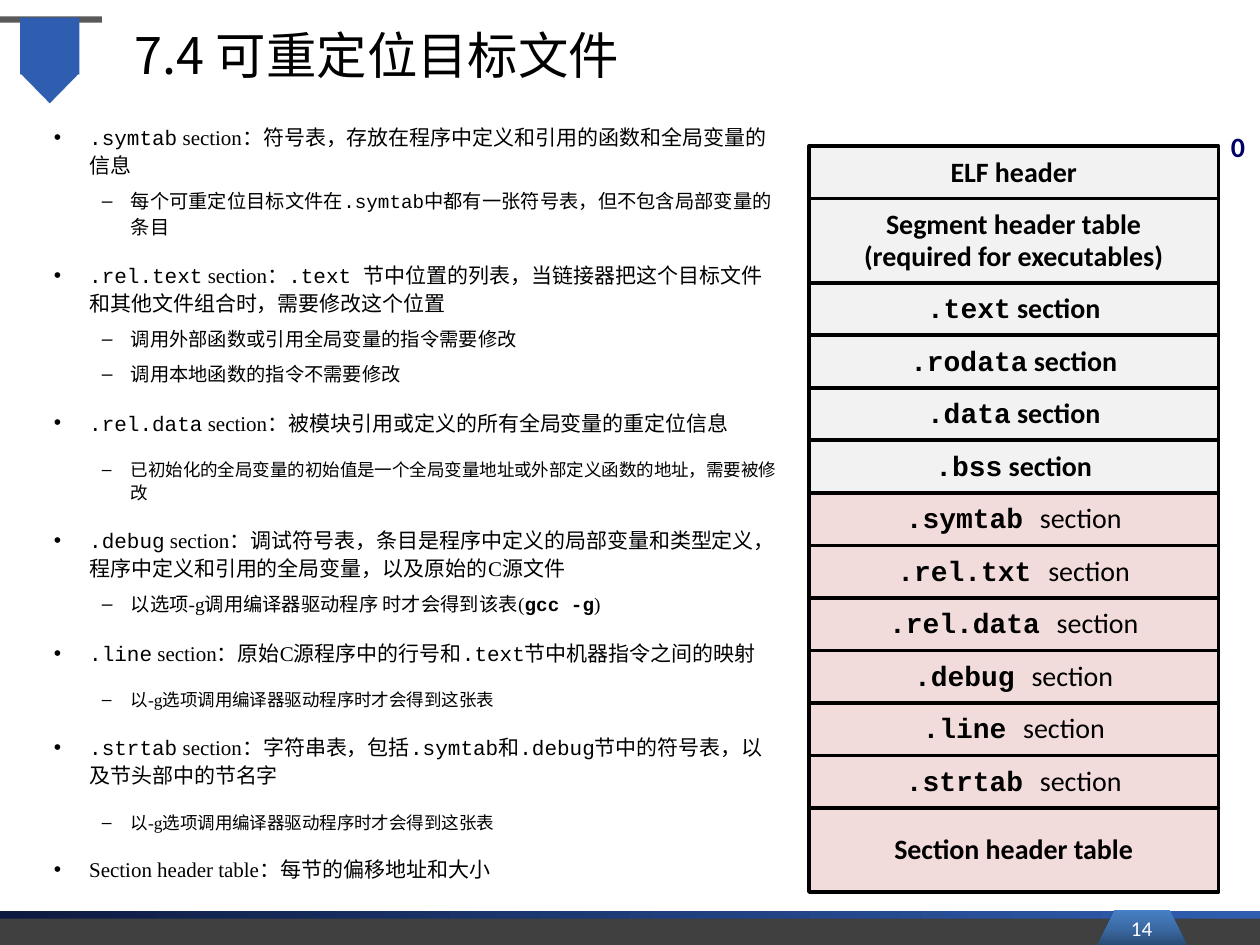
from lxml import etree
from pptx import Presentation
from pptx import util as u
from pptx.dml.color import RGBColor
from pptx.enum import shapes, text
from pptx.oxml import ns

TITLE = "7.4 可重定位目标文件"
PAGE_NUMBER = "14"
START_OFFSET = "0"

# (style, wording); backticks enclose code
NOTES = [
    ("topic", "`.symtab` section：符号表，存放在程序中定义和引用的函数和全局变量的信息"),
    ("detail", "每个可重定位目标文件在`.symtab`中都有一张符号表，但不包含局部变量的条目"),
    ("topic", "`.rel.text` section：`.text `节中位置的列表，当链接器把这个目标文件和其他文件组合时，需要修改这个位置"),
    ("detail", "调用外部函数或引用全局变量的指令需要修改"),
    ("detail", "调用本地函数的指令不需要修改"),
    ("topic", "`.rel.data` section：被模块引用或定义的所有全局变量的重定位信息"),
    ("remark", "已初始化的全局变量的初始值是一个全局变量地址或外部定义函数的地址，需要被修改"),
    ("topic", "`.debug` section：调试符号表，条目是程序中定义的局部变量和类型定义，程序中定义和引用的全局变量，以及原始的C源文件"),
    ("detail", "以选项-g调用编译器驱动程序 时才会得到该表(`gcc -g`)"),
    ("topic", "`.line` section：原始C源程序中的行号和`.text`节中机器指令之间的映射"),
    ("remark", "以-g选项调用编译器驱动程序时才会得到这张表"),
    ("topic", "`.strtab` section：字符串表，包括`.symtab`和`.debug`节中的符号表，以及节头部中的节名字"),
    ("remark", "以-g选项调用编译器驱动程序时才会得到这张表"),
    ("topic", "Section header table：每节的偏移地址和大小"),
]
BOLD_CODE = {"gcc -g"}

# (lines, fill, rows taken, words in bold)
SECTIONS = [
    (["ELF header"], "plain", 1, True),
    (["Segment header table", "(required for executables)"], "plain", 1.6, True),
    *[([f"`{name}` section"], "plain", 1, True)
      for name in (".text", ".rodata", ".data", ".bss")],
    *[([f"`{name} `section"], "linking", 1, False)
      for name in (".symtab", ".rel.txt", ".rel.data", ".debug", ".line", ".strtab")],
    (["Section header table"], "linking", 1.6, True),
]

THEME = {
    "ink": "000000", "white": "FFFFFF", "offset": "000066",
    "plain": "F2F2F2", "linking": "F2DCDB",
    "flag": "2F5EB0", "rule": "595959", "footer": "404040",
    "stripe": ["0E1A40", "2F5EB0"], "tab": ["2A4C75", "3C6CA6", "4780C5"],
    "sans": "Calibri", "serif": "Times New Roman",
    "code": "Courier New", "cjk": "Noto Sans CJK SC",
    "title_size": 28.8, "section_size": 16, "number_size": 12,
    "topic": {"size": 12, "before": 12.5, "level": 0},
    "detail": {"size": 11, "before": 5.6, "level": 1},
    "remark": {"size": 10, "before": 12.5, "level": 1},
}
# bullet, text indent and hanging indent in inches
LEVELS = [("•", 0.28, -0.28), ("–", 0.61, -0.23)]

WIDTH, HEIGHT = 10, 7.5
STACK_LEFT, STACK_TOP, STACK_WIDTH, STACK_BOTTOM = 6.42, 1.16, 3.25, 7.08
FOOTER_TOP = 7.23
RECT = shapes.MSO_SHAPE.RECTANGLE

deck = Presentation()
deck.slide_width, deck.slide_height = u.Inches(WIDTH), u.Inches(HEIGHT)
page = deck.slides.add_slide(deck.slide_layouts[6])


def inches(*lengths):
    return [u.Inches(length) for length in lengths]


def add_block(kind, place, fill, outline=None):
    """Add a shape; a list of colours as fill makes an even gradient."""
    block = page.shapes.add_shape(kind, *inches(*place))
    block.shadow.inherit = False
    if isinstance(fill, list):
        block.fill.gradient()
        stops = block.fill._fill._gradFill.find(ns.qn("a:gsLst"))
        for stop in list(stops):
            stops.remove(stop)
        for i, colour in enumerate(fill):
            stop = etree.SubElement(stops, ns.qn("a:gs"),
                                    pos=str(100000 * i // (len(fill) - 1)))
            etree.SubElement(stop, ns.qn("a:srgbClr"), val=colour)
    else:
        block.fill.solid()
        block.fill.fore_color.rgb = RGBColor.from_string(fill)
    if outline:
        block.line.color.rgb = RGBColor.from_string(outline)
        block.line.width = u.Pt(2)
    else:
        block.line.fill.background()
    return block


def add_text(place, **frame_format):
    frame = page.shapes.add_textbox(*inches(*place)).text_frame
    frame.word_wrap = True
    for name, value in frame_format.items():
        setattr(frame, name, value)
    return frame


def write(para, wording, size, face, colour="ink", bold=False):
    """Write spans in turn, setting backticked parts in the code face."""
    for i, part in enumerate(wording.split("`")):
        if not part:
            continue
        is_code = i % 2 == 1
        span = para.add_run()
        span.text = part
        look = {"size": u.Pt(size), "name": THEME["code" if is_code else face],
                "bold": part in BOLD_CODE or bold}
        for name, value in look.items():
            setattr(span.font, name, value)
        span.font.color.rgb = RGBColor.from_string(THEME[colour])
        latin = span.font._element.find(ns.qn("a:latin"))
        east_asian = etree.Element(ns.qn("a:ea"), typeface=THEME["cjk"])
        latin.addnext(east_asian)


def add_bullet(para, level):
    mark, left, hanging = LEVELS[level]
    para.level = level
    props = para._p.get_or_add_pPr()
    props.set("marL", str(u.Inches(left)))
    props.set("indent", str(u.Inches(hanging)))
    etree.SubElement(props, ns.qn("a:buFont"), typeface="Arial")
    etree.SubElement(props, ns.qn("a:buChar"), char=mark)


def paragraphs(frame, items):
    """Yield one paragraph of the frame for each item."""
    for i, item in enumerate(items):
        yield i, frame.add_paragraph() if i else frame.paragraphs[0], item


# Page furniture
add_block(RECT, (0, 0.13, 0.81, 0.05), THEME["rule"])
add_block(RECT, (0.16, 0.14, 0.47, 0.45), THEME["flag"])
flag_tip = add_block(shapes.MSO_SHAPE.ISOSCELES_TRIANGLE,
                     (0.16, 0.58, 0.47, 0.24), THEME["flag"])
flag_tip.rotation = 180
stripe = add_block(RECT, (0, FOOTER_TOP, WIDTH, HEIGHT - FOOTER_TOP), THEME["stripe"])
stripe.fill.gradient_angle = 0
add_block(RECT, (0, 7.29, WIDTH, HEIGHT - 7.29), THEME["footer"])
number_tab = add_block(shapes.MSO_SHAPE.TRAPEZOID, (8.71, 7.22, 0.71, 0.28), THEME["tab"])
number_tab.adjustments[0] = 0.5
number_tab.fill.gradient_angle = 90

middle = text.MSO_ANCHOR.MIDDLE
title = add_text((0.97, 0.12, 8.52, 0.62), vertical_anchor=middle)
write(title.paragraphs[0], TITLE, THEME["title_size"], "cjk")
number = add_text((8.62, 7.21, 0.88, 0.31), vertical_anchor=middle)
number.paragraphs[0].alignment = text.PP_ALIGN.CENTER
write(number.paragraphs[0], PAGE_NUMBER, THEME["number_size"], "sans", "white")

# Notes
notes = add_text((0.33, 0.92, 5.93, 6.3))
for i, para, (style, wording) in paragraphs(notes, NOTES):
    look = THEME[style]
    para.line_spacing = 1.1
    if i:
        para.space_before = u.Pt(look["before"])
    add_bullet(para, look["level"])
    write(para, wording, look["size"], "serif")

# Object file layout
row = (STACK_BOTTOM - STACK_TOP) / sum(section[2] for section in SECTIONS)
top = STACK_TOP
for lines, fill, rows, bold in SECTIONS:
    box = add_block(RECT, (STACK_LEFT, top, STACK_WIDTH, rows * row),
                    THEME[fill], THEME["ink"])
    frame = box.text_frame
    frame.word_wrap = False
    frame.vertical_anchor = middle
    for _, para, line in paragraphs(frame, lines):
        para.alignment = text.PP_ALIGN.CENTER
        para.line_spacing = 0.94 if "`" in line else 0.98
        write(para, line, THEME["section_size"], "sans", bold=bold or "`" in line)
        if not bold:
            para.runs[-1].font.bold = False
    top += rows * row

offset = add_text((STACK_LEFT + STACK_WIDTH, 0.99, 0.31, 0.37), word_wrap=False)
offset.paragraphs[0].line_spacing = 0.98
write(offset.paragraphs[0], START_OFFSET, THEME["section_size"], "sans", "offset", True)

deck.save("out.pptx")
